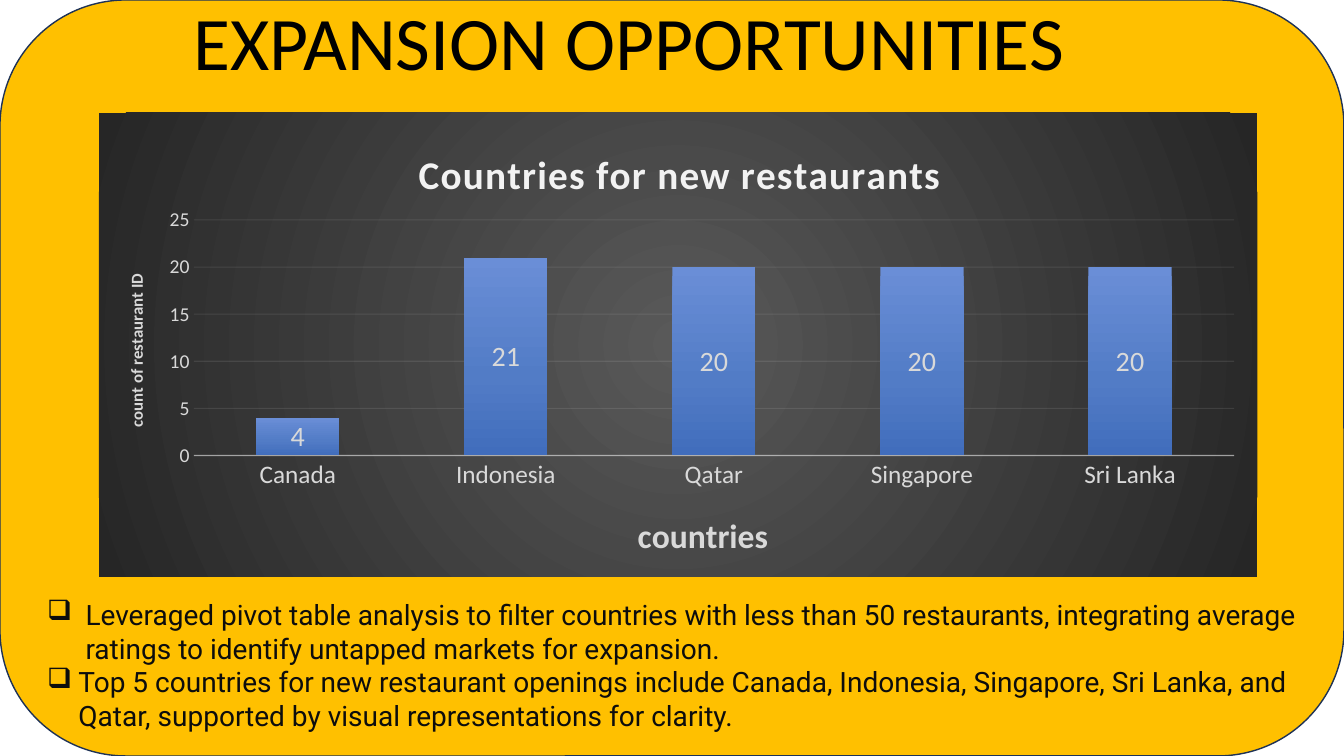
from pptx import Presentation
from pptx.chart.data import CategoryChartData
from pptx.dml.color import RGBColor
from pptx.enum.chart import XL_CHART_TYPE, XL_LABEL_POSITION, XL_TICK_MARK
from pptx.enum.shapes import MSO_SHAPE
from pptx.enum.text import MSO_ANCHOR, PP_ALIGN
from pptx.oxml import parse_xml
from pptx.oxml.ns import nsdecls, qn
from pptx.util import Inches, Pt
from lxml import etree

AMBER = RGBColor(0xFF, 0xC0, 0x00)
NAVY = RGBColor(0x1E, 0x32, 0x56)
BLACK = RGBColor(0, 0, 0)
INK = RGBColor(0x0D, 0x0D, 0x0D)
PALE = RGBColor(0xF2, 0xF2, 0xF2)
GREY = RGBColor(0xD9, 0xD9, 0xD9)
PANEL_STOPS = [(0, RGBColor(0x59, 0x59, 0x59)), (100, RGBColor(0x26, 0x26, 0x26))]
BAR_STOPS = [(0, RGBColor(0x6A, 0x8E, 0xD7)), (60, RGBColor(0x52, 0x7C, 0xC6)),
             (100, RGBColor(0x41, 0x6D, 0xBC))]
LINEAR = '<a:lin ang="5400000" scaled="0"/>'
CIRCLE = ('<a:path path="circle"><a:fillToRect l="50000" t="50000" '
          'r="50000" b="50000"/></a:path>')

COUNTRIES = {"Canada": 4, "Indonesia": 21, "Qatar": 20, "Singapore": 20, "Sri Lanka": 20}
# Bullet text and its hanging indent in inches
FINDINGS = [
    ("Leveraged pivot table analysis to filter countries with less than 50 restaurants, "
     "integrating average ratings to identify untapped markets for expansion.", 0.38),
    ("Top 5 countries for new restaurant openings include Canada, Indonesia, Singapore, "
     "Sri Lanka, and Qatar, supported by visual representations for clarity.", 0.31),
]


def set_font(font, size, color, name="Calibri", bold=False):
    font.name, font.size, font.bold = name, Pt(size), bold
    font.color.rgb = color


def gradient(stops, direction):
    gs = "".join(f'<a:gs pos="{pos * 1000}"><a:srgbClr val="{color}"/></a:gs>'
                 for pos, color in stops)
    return parse_xml(f'<a:gradFill {nsdecls("a")} rotWithShape="1">'
                     f'<a:gsLst>{gs}</a:gsLst>{direction}</a:gradFill>')


def set_line(line, width, alpha):
    line.color.rgb = PALE
    line.width = Pt(width)
    clr = line.fill._xPr.find(".//" + qn("a:srgbClr"))
    etree.SubElement(clr, qn("a:alpha")).set("val", str(alpha * 1000))


def set_layout(parent, index, **values):
    """Fix a title or the plot area at fractions of the chart."""
    old = parent.find(qn("c:layout"))
    if old is not None:
        parent.remove(old)
    layout = etree.Element(qn("c:layout"))
    parent.insert(index, layout)
    manual = etree.SubElement(layout, qn("c:manualLayout"))
    if "w" in values:
        etree.SubElement(manual, qn("c:layoutTarget")).set("val", "inner")
    for tag, value in values.items():
        if tag in ("x", "y"):
            etree.SubElement(manual, qn(f"c:{tag}Mode")).set("val", "edge")
    for tag, value in values.items():
        etree.SubElement(manual, qn(f"c:{tag}")).set("val", str(value))


def add_chart_title(title, text, size, color, x, y):
    p = title.text_frame.paragraphs[0]
    p.text = text
    set_font(p.font, size, color, bold=True)
    set_layout(title._element, 1, x=x, y=y)
    return p


def add_panel(s, x, y, w, h):
    sp = s.shapes.add_shape(MSO_SHAPE.ROUNDED_RECTANGLE, x, y, w, h)
    sp.shadow.inherit = False
    sp.fill.solid()
    sp.fill.fore_color.rgb = AMBER
    sp.line.color.rgb = NAVY
    sp.line.width = Pt(1)


def add_heading(s, x, y, w, h):
    tf = s.shapes.add_textbox(x, y, w, h).text_frame
    tf.word_wrap = True
    p = tf.paragraphs[0]
    p.text = "EXPANSION OPPORTUNITIES"
    p.alignment = PP_ALIGN.CENTER
    set_font(p.font, 54, BLACK)


def add_country_chart(s, x, y, w, h):
    data = CategoryChartData()
    data.categories = list(COUNTRIES)
    data.add_series("Series 1", list(COUNTRIES.values()))
    chart = s.shapes.add_chart(XL_CHART_TYPE.COLUMN_STACKED, x, y, w, h, data).chart
    chart.has_legend = False
    set_font(chart.font, 10, BLACK)

    # Dark background
    space = chart._chartSpace
    sp_pr = parse_xml(f'<c:spPr {nsdecls("c", "a")}><a:ln><a:noFill/></a:ln></c:spPr>')
    sp_pr.insert(0, gradient(PANEL_STOPS, CIRCLE))
    space.find(qn("c:chart")).addnext(sp_pr)

    # Bars and labels
    plot = chart.plots[0]
    plot.gap_width, plot.overlap, plot.vary_by_categories = 150, 100, False
    bars = plot.series[0]
    bars.format.line.fill.background()
    bars._element.spPr.insert(0, gradient(BAR_STOPS, LINEAR))
    labels = bars.data_labels
    labels.show_value = True
    labels.position = XL_LABEL_POSITION.CENTER
    set_font(labels.font, 20, GREY)

    # Axes
    cat, val = chart.category_axis, chart.value_axis
    for axis, size in ((cat, 18), (val, 14)):
        axis.major_tick_mark = axis.minor_tick_mark = XL_TICK_MARK.NONE
        set_font(axis.tick_labels.font, size, GREY)
    set_line(cat.format.line, 1, 54)
    val.format.line.fill.background()
    set_line(val.major_gridlines.format.line, 0.75, 10)
    val.minimum_scale, val.maximum_scale, val.major_unit = 0, 25, 5

    # Titles and plot area
    p = add_chart_title(chart.chart_title, "Countries for new restaurants", 28, PALE, 0.27, 0.06)
    p.font._element.set("spc", "100")
    add_chart_title(cat.axis_title, "countries", 24, GREY, 0.46, 0.85)
    add_chart_title(val.axis_title, "count of restaurant ID", 12, GREY, 0.02, 0.34)
    body = val.axis_title._element.find(".//" + qn("a:bodyPr"))
    body.set("rot", "-5400000")
    body.set("vert", "horz")
    set_layout(space.find(".//" + qn("c:plotArea")), 0, x=0.082, y=0.231, w=0.898, h=0.508)


def add_findings(s, x, y, w, h):
    tf = s.shapes.add_textbox(x, y, w, h).text_frame
    tf.word_wrap = True
    tf.vertical_anchor = MSO_ANCHOR.BOTTOM
    for i, (text, indent) in enumerate(FINDINGS):
        p = tf.paragraphs[0] if i == 0 else tf.add_paragraph()
        p.text = text
        set_font(p.font, 20, INK, "Roboto")
        p_pr = p._p.get_or_add_pPr()
        p_pr.set("marL", str(Inches(indent)))
        p_pr.set("indent", str(-Inches(indent)))
        p_pr.insert(0, parse_xml(f'<a:buChar {nsdecls("a")} char="❑"/>'))


def main():
    prs = Presentation()
    prs.slide_width, prs.slide_height = Inches(13.33), Inches(7.5)
    s = prs.slides.add_slide(prs.slide_layouts[6])
    add_panel(s, 0, 0, prs.slide_width, prs.slide_height)
    add_heading(s, Inches(1.78), Inches(-0.1), Inches(8.92), Inches(1.01))
    add_country_chart(s, Inches(0.98), Inches(1.12), Inches(11.49), Inches(4.6))
    add_findings(s, Inches(0.37), Inches(5.88), Inches(12.6), Inches(1.43))
    prs.save("out.pptx")


if __name__ == "__main__":
    main()
